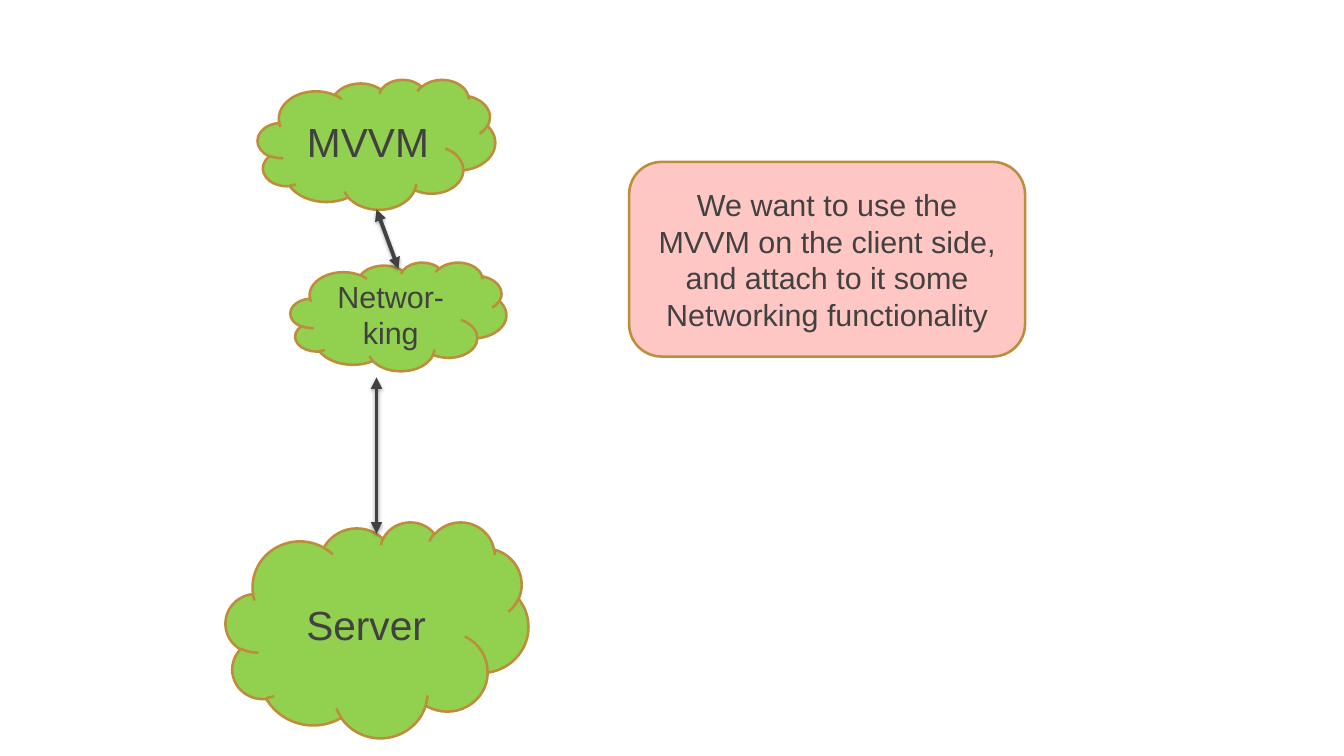
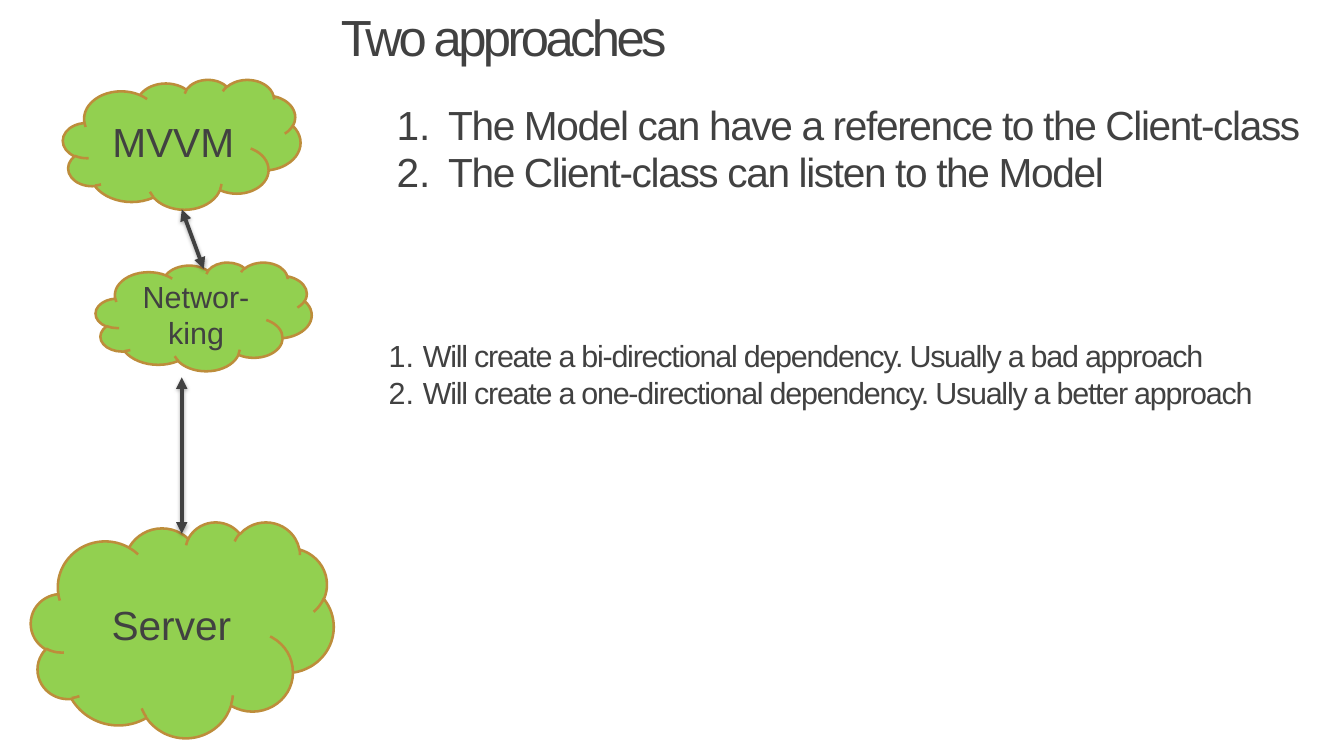
import lxml.etree
import pptx
import pptx.dml.color
import pptx.enum.shapes
import pptx.enum.text
import pptx.oxml.ns
import pptx.util

Cm = pptx.util.Cm
Pt = pptx.util.Pt
qn = pptx.oxml.ns.qn
Shape = pptx.enum.shapes.MSO_SHAPE
Align = pptx.enum.text.PP_ALIGN
Anchor = pptx.enum.text.MSO_ANCHOR

GREEN = pptx.dml.color.RGBColor(0x92, 0xD0, 0x50)
PINK = pptx.dml.color.RGBColor(0xFF, 0xC7, 0xC3)
BRONZE = pptx.dml.color.RGBColor(0xBD, 0x8D, 0x3B)
CHARCOAL = pptx.dml.color.RGBColor(0x41, 0x41, 0x41)
FONT = "Arial"


def add_element(parent, tag, **attributes):
    return lxml.etree.SubElement(parent, qn(tag), attributes)


class Deck:
    """Hold the shared style and the slide being drawn."""

    def __init__(self, width, height):
        self.presentation = pptx.Presentation()
        self.presentation.slide_width = Cm(width)
        self.presentation.slide_height = Cm(height)
        self.slide = None

    def new_slide(self):
        layout = self.presentation.slide_layouts[6]
        self.slide = self.presentation.slides.add_slide(layout)

    def format_runs(self, paragraph, size, tracking=0):
        for run in paragraph.runs:
            run.font.name = FONT
            run.font.size = Pt(size)
            run.font.color.rgb = CHARCOAL
            if tracking:
                run.font._element.set("spc", str(round(tracking * 100)))

    def panel(self, kind, box, fill, text, size):
        shape = self.slide.shapes.add_shape(kind, *map(Cm, box))
        shape.shadow.inherit = False
        shape.fill.solid()
        shape.fill.fore_color.rgb = fill
        shape.line.color.rgb = BRONZE
        shape.line.width = Pt(2)
        frame = shape.text_frame
        frame.word_wrap = True
        frame.vertical_anchor = Anchor.MIDDLE
        frame.text = text
        frame.paragraphs[0].alignment = Align.CENTER
        self.format_runs(frame.paragraphs[0], size)

    def arrow(self, start, end):
        connector = self.slide.shapes.add_connector(
            pptx.enum.shapes.MSO_CONNECTOR.STRAIGHT, *map(Cm, start + end))
        connector.line.color.rgb = CHARCOAL
        connector.line.width = Pt(3)
        line = connector.line._get_or_add_ln()
        add_element(line, "a:headEnd", type="triangle")
        add_element(line, "a:tailEnd", type="triangle")
        effects = add_element(connector._element.spPr, "a:effectLst")
        shadow = add_element(effects, "a:outerShdw", blurRad=str(Pt(3.1)),
                             dist=str(Pt(1.8)), dir="5400000", rotWithShape="0")
        color = add_element(shadow, "a:srgbClr", val="000000")
        add_element(color, "a:alpha", val="35000")

    def text_box(self, box, text, size, tracking, line_spacing, insets):
        frame = self.slide.shapes.add_textbox(*map(Cm, box)).text_frame
        frame.word_wrap = True
        (frame.margin_left, frame.margin_top,
         frame.margin_right, frame.margin_bottom) = map(Cm, insets)
        frame.text = text
        for paragraph in frame.paragraphs:
            paragraph.line_spacing = line_spacing
            self.format_runs(paragraph, size, tracking)
        return frame

    def title(self, text):
        self.text_box((9.47, 0.28, 27.5, 2.59), text, 40, -2.8, 0.73, (0, 0.3, 0, 0))

    def numbered_list(self, box, items, size, tracking, line_spacing, insets, indent):
        frame = self.text_box(box, "\n".join(items), size, tracking, line_spacing, insets)
        for paragraph in frame.paragraphs:
            properties = paragraph._p.get_or_add_pPr()
            properties.set("marL", str(Cm(indent)))
            properties.set("indent", str(-Cm(indent)))
            space_before = add_element(properties, "a:spcBef")
            add_element(space_before, "a:spcPct", val="20000")
            add_element(properties, "a:buFont", typeface=FONT)
            add_element(properties, "a:buAutoNum", type="arabicPeriod")

    def architecture(self, axis):
        clouds = (
            ("MVVM", 32, -3.3, 2.21, 6.6, 3.61),
            ("Networ-king", 24, -2.39, 7.29, 6, 3.02),
            ("Server", 32, -4.19, 14.5, 8.41, 6),
        )
        for text, size, offset, top, width, height in clouds:
            self.panel(Shape.CLOUD, (axis + offset, top, width, height), GREEN, text, size)
        self.arrow((axis, 10.49), (axis, 14.83))
        self.arrow((axis, 5.82), (axis + 0.61, 7.47))


def main():
    deck = Deck(37.34, 21.01)

    deck.new_slide()
    deck.architecture(10.46)
    deck.panel(Shape.ROUNDED_RECTANGLE, (17.48, 4.5, 11, 5.41), PINK,
               "We want to use the MVVM on the client side, "
               "and attach to it some Networking functionality", 24)

    deck.new_slide()
    deck.architecture(5.05)
    deck.title("Two approaches")
    deck.numbered_list(
        (10.77, 2.9, 26.5, 15.19),
        ("The Model can have a reference to the Client-class",
         "The Client-class can listen to the Model"),
        32, -1.1, 0.8, (0.25, 0.13, 0.25, 0.13), 1.43)
    deck.numbered_list(
        (10.8, 9.55, 25.5, 1.9),
        ("Will create a bi-directional dependency. Usually a bad approach",
         "Will create a one-directional dependency. Usually a better approach"),
        24, -1, 0.83, (0, 0, 0, 0), 0.95)

    deck.presentation.save("out.pptx")


if __name__ == "__main__":
    main()
